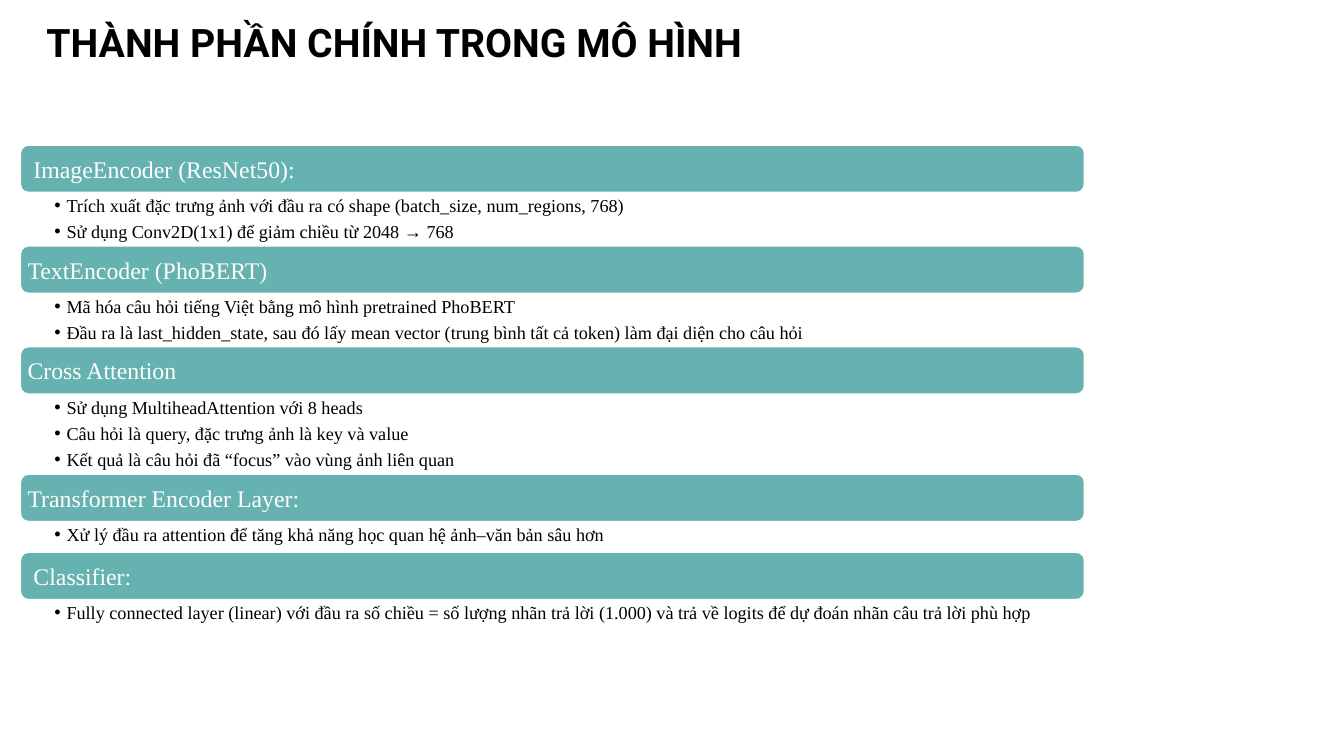
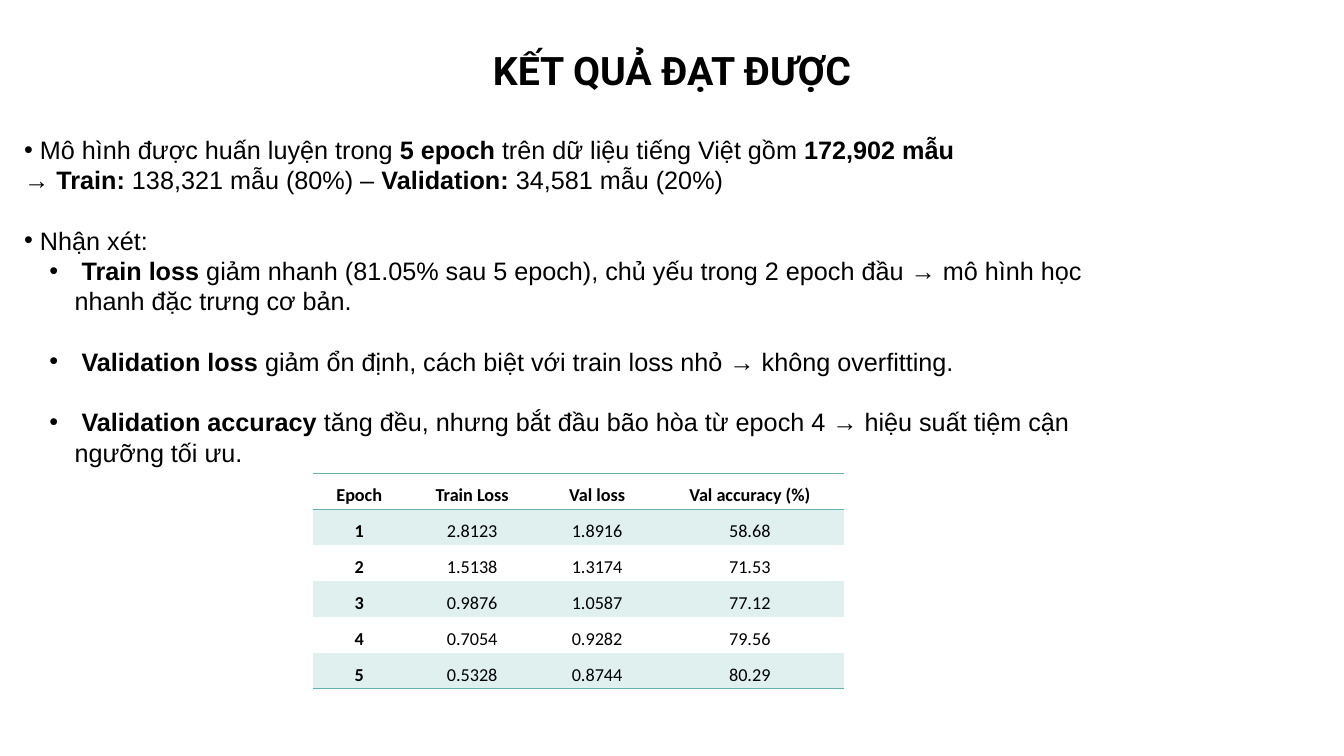
from dataclasses import dataclass

from lxml.etree import SubElement as Sub
from pptx import Presentation
from pptx.dml.color import RGBColor as Rgb
from pptx.enum.shapes import MSO_SHAPE as Kind
from pptx.enum.text import MSO_ANCHOR as Anchor, MSO_AUTO_SIZE as Auto, PP_ALIGN as Align
from pptx.oxml.ns import qn
from pptx.util import Pt

# Shared look
TEAL, PALE, BLACK, WHITE = "66B2B0", "E0F0EF", "000000", "FFFFFF"
SERIF, SANS, HEAD, GRID = "Times New Roman", "Arial", "Roboto", "Calibri"
PLAIN = "{2D5ABB26-0587-4C30-8999-92F81FD0307C}"
LINE = 21.6


@dataclass
class Box:
    x: float
    y: float
    w: float
    h: float

    def emu(self) -> tuple:
        return Pt(self.x), Pt(self.y), Pt(self.w), Pt(self.h)


@dataclass
class Part:
    name: str
    items: list[str]


@dataclass
class Note:
    runs: list[str]  # plain and bold text in turn, "\n" breaks the line
    gap: float = 0
    left: float = 0
    hang: float = 0


PARTS = [
    Part(" ImageEncoder (ResNet50):", [
        "Trích xuất đặc trưng ảnh với đầu ra có shape (batch_size, num_regions, 768)",
        "Sử dụng Conv2D(1x1) để giảm chiều từ 2048 → 768"]),
    Part("TextEncoder (PhoBERT)", [
        "Mã hóa câu hỏi tiếng Việt bằng mô hình pretrained PhoBERT",
        "Đầu ra là last_hidden_state, sau đó lấy mean vector (trung bình tất cả token) "
        "làm đại diện cho câu hỏi"]),
    Part("Cross Attention", [
        "Sử dụng MultiheadAttention với 8 heads",
        "Câu hỏi là query, đặc trưng ảnh là key và value",
        "Kết quả là câu hỏi đã “focus” vào vùng ảnh liên quan"]),
    Part("Transformer Encoder Layer:", [
        "Xử lý đầu ra attention để tăng khả năng học quan hệ ảnh–văn bản sâu hơn"]),
    Part(" Classifier:", [
        "Fully connected layer (linear) với đầu ra số chiều = số lượng nhãn trả lời (1.000) "
        "và trả về logits để dự đoán nhãn câu trả lời phù hợp"]),
]
DEEP = {1: 22, 2: 38.2, 3: 57.2}  # list height by number of items

NOTES = [
    Note([" Mô hình được huấn luyện trong ", "5 epoch ", "trên dữ liệu tiếng Việt gồm ",
          "172,902 mẫu", "\n→ ", "Train:", " 138,321 mẫu (80%) – ", "Validation:",
          " 34,581 mẫu (20%)"]),
    Note([" Nhận xét:"], gap=LINE),
    Note(["", " Train loss ", "giảm nhanh (81.05% sau 5 epoch), chủ yếu trong 2 epoch đầu "
          "→ mô hình học nhanh đặc trưng cơ bản."], left=36, hang=18),
    Note(["", " Validation loss ", "giảm ổn định, cách biệt với train loss nhỏ "
          "→ không overfitting."], LINE, 36, 18),
    Note(["", " Validation accuracy ", "tăng đều, nhưng bắt đầu bão hòa từ epoch 4 "
          "→ hiệu suất tiệm cận ngưỡng tối ưu."], LINE, 36, 18),
]

ROWS = [
    ("Epoch", "Train Loss", "Val loss", "Val accuracy (%)"),
    ("1", "2.8123", "1.8916", "58.68"),
    ("2", "1.5138", "1.3174", "71.53"),
    ("3", "0.9876", "1.0587", "77.12"),
    ("4", "0.7054", "0.9282", "79.56"),
    ("5", "0.5328", "0.8744", "80.29"),
]
COLS = (65.6, 95.7, 82.8, 135.3)


def tint(code: str) -> Rgb:
    return Rgb.from_string(code)


def style(run, face: str, size: float, code: str = BLACK, bold: bool = False) -> None:
    font = run.font
    font.name, font.size, font.bold = face, Pt(size), bold
    font.color.rgb = tint(code)


def pad(frame, left: float, top: float, right: float, base: float) -> None:
    frame.margin_left, frame.margin_top = Pt(left), Pt(top)
    frame.margin_right, frame.margin_bottom = Pt(right), Pt(base)
    frame.word_wrap = True


def place(shape, box: Box) -> None:
    shape.left, shape.top, shape.width, shape.height = box.emu()


def dot(para, left: float, hang: float) -> None:
    prop = para._p.get_or_add_pPr()
    prop.set("marL", str(Pt(left)))
    prop.set("indent", str(-Pt(hang)))
    Sub(prop, qn("a:buFont")).set("typeface", SANS)
    Sub(prop, qn("a:buChar")).set("char", "•")


def title(slide, text: str, box: Box, align: Align, anchor: Anchor) -> None:
    shape = slide.shapes.title
    place(shape, box)
    frame = shape.text_frame
    frame.text = text
    frame.auto_size, frame.vertical_anchor = Auto.NONE, anchor
    pad(frame, 7.2, 3.6, 7.2, 3.6)
    para = frame.paragraphs[0]
    para.alignment, para.line_spacing = align, 0.9
    style(para.runs[0], HEAD, 28, bold=True)


def band(slide, text: str, box: Box) -> None:
    shape = slide.shapes.add_shape(Kind.ROUNDED_RECTANGLE, *box.emu())
    shape.shadow.inherit = False
    shape.fill.solid()
    shape.fill.fore_color.rgb = tint(TEAL)
    shape.line.color.rgb = tint(WHITE)
    shape.line.width = Pt(1)
    frame = shape.text_frame
    frame.text = text
    frame.vertical_anchor = Anchor.MIDDLE
    # The preset insets its text by the corner, about 1.6 pt
    pad(frame, 3.4, 3.4, 3.4, 3.4)
    para = frame.paragraphs[0]
    para.alignment = Align.LEFT
    style(para.runs[0], SERIF, 17, WHITE)


def points(slide, items: list[str], box: Box) -> None:
    frame = slide.shapes.add_textbox(*box.emu()).text_frame
    frame.text = "\n".join(items)
    pad(frame, 24.3, 1.4, 9, 1.4)
    for para in frame.paragraphs:
        dot(para, 8.64, 8.64)
        para.space_after = Pt(3.2)
        style(para.runs[0], SERIF, 13)


def notes(slide, box: Box) -> None:
    shape = slide.placeholders[1]
    place(shape, box)
    frame = shape.text_frame
    frame.auto_size, frame.vertical_anchor = Auto.NONE, Anchor.TOP
    pad(frame, 7.2, 3.6, 7.2, 3.6)
    for num, note in enumerate(NOTES):
        para = frame.add_paragraph() if num else frame.paragraphs[0]
        para.level = 1 if note.left else 0
        dot(para, note.left, note.hang)
        para.alignment, para.line_spacing = Align.LEFT, Pt(LINE)
        para.space_before, para.space_after = Pt(note.gap), Pt(0)
        for turn, text in enumerate(note.runs):
            if text.startswith("\n"):
                para.add_line_break()
            if text:
                run = para.add_run()
                run.text = text.lstrip("\n")
                style(run, SANS, 18, bold=turn % 2 == 1)


def rule(cell, side: str) -> None:
    prop = cell._tc.get_or_add_tcPr()
    line = Sub(prop, qn(f"a:{side}"))
    line.set("w", str(Pt(1)))
    fill = Sub(line, qn("a:solidFill"))
    Sub(fill, qn("a:srgbClr")).set("val", TEAL)


def grid(slide, box: Box) -> None:
    frame = slide.shapes.add_table(len(ROWS), len(COLS), *box.emu())
    table = frame.table
    table._tbl.tblPr.find(qn("a:tableStyleId")).text = PLAIN
    table.first_row = table.horz_banding = False
    for col, width in zip(table.columns, COLS):
        col.width = Pt(width)
    last = len(ROWS) - 1
    for r, row in enumerate(ROWS):
        table.rows[r].height = Pt(box.h / len(ROWS))
        for c, text in enumerate(row):
            cell = table.cell(r, c)
            # Borders come before the fill
            if r == 0:
                rule(cell, "lnT")
            if r in (0, last):
                rule(cell, "lnB")
            if r % 2:
                cell.fill.solid()
                cell.fill.fore_color.rgb = tint(PALE)
            else:
                cell.fill.background()
            cell.margin_left = cell.margin_right = Pt(5)
            cell.margin_top = cell.margin_bottom = Pt(0)
            cell.text = text
            para = cell.text_frame.paragraphs[0]
            para.alignment, para.line_spacing = Align.CENTER, 1.5
            style(para.runs[0], GRID, 13, bold=r == 0 or c == 0)


def model(deck) -> None:
    slide = deck.slides.add_slide(deck.slide_layouts[5])
    title(slide, "THÀNH PHẦN CHÍNH TRONG MÔ HÌNH", Box(26, 13, 653, 43),
          Align.LEFT, Anchor.TOP)
    top, tall = 103.7, 33.8
    for part in PARTS:
        deep = DEEP[len(part.items)]
        band(slide, part.name, Box(14.6, top, 760, tall))
        points(slide, part.items, Box(14.6, top + tall, 760, deep))
        top += tall + deep


def result(deck) -> None:
    slide = deck.slides.add_slide(deck.slide_layouts[1])
    title(slide, "KẾT QUẢ ĐẠT ĐƯỢC", Box(281.5, 0, 397, 104.4),
          Align.CENTER, Anchor.MIDDLE)
    grid(slide, Box(223.8, 338, sum(COLS), 154))
    notes(slide, Box(10.1, 92.4, 805.7, 246))


def main() -> None:
    deck = Presentation()
    deck.slide_width, deck.slide_height = Pt(960), Pt(540)
    model(deck)
    result(deck)
    deck.save("out.pptx")


if __name__ == "__main__":
    main()
